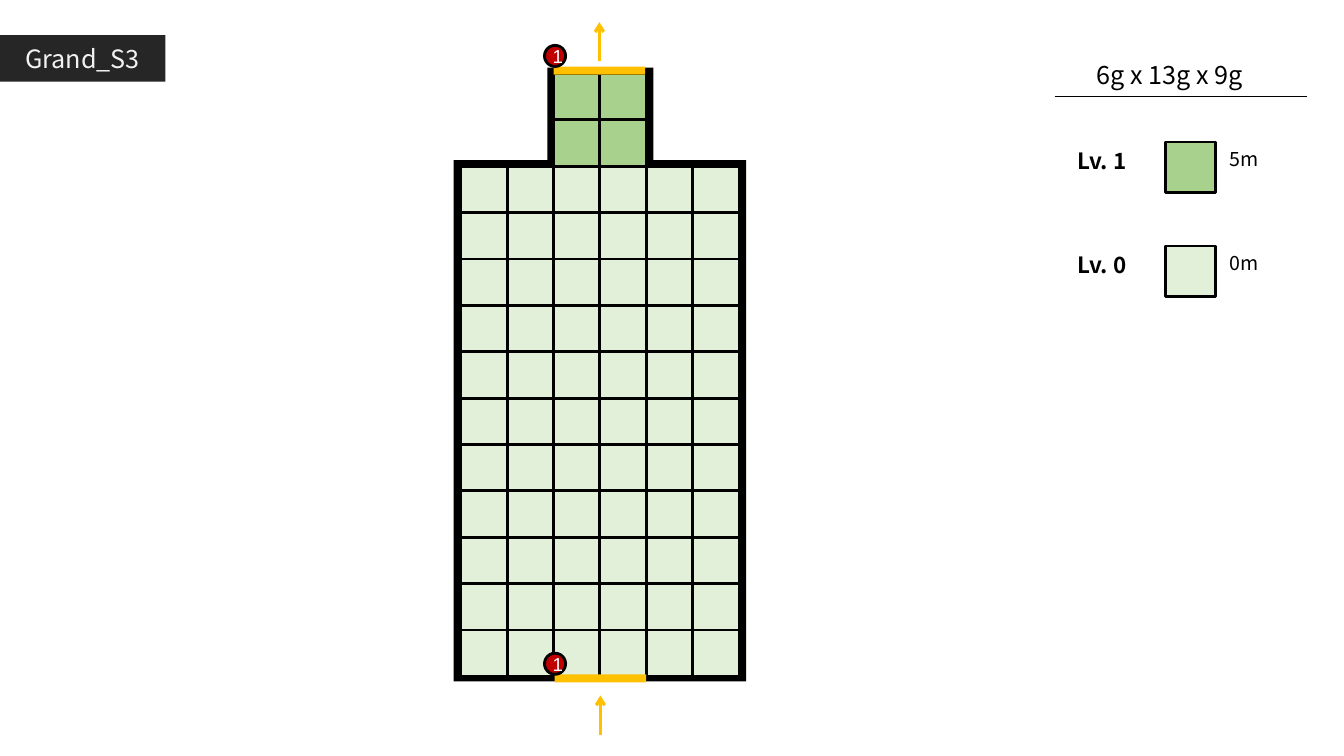
from dataclasses import dataclass

from lxml.etree import SubElement
from pptx import Presentation
from pptx.dml.color import RGBColor
from pptx.enum.shapes import MSO_CONNECTOR as Connector, MSO_SHAPE as Shape
from pptx.enum.text import MSO_ANCHOR as Anchor, PP_ALIGN as Align
from pptx.oxml.ns import qn
from pptx.util import Inches, Pt


@dataclass(frozen=True)
class Theme:
    """Colours, fonts, type sizes and line widths of the map."""
    black: str = "000000"
    white: str = "FFFFFF"
    tag: str = "262626"
    tag_text: str = "F2F2F2"
    level_0: str = "E2F0D9"
    level_1: str = "A9D18E"
    gate: str = "FFC000"
    marker: str = "C00000"
    font: str = "Noto Sans CJK KR"
    marker_font: str = "Arial"
    title_size: float = 18
    level_size: float = 16
    height_size: float = 14
    marker_size: float = 13.4
    rule_width: float = 1
    outline_width: float = 2
    arrow_width: float = 2.25


THEME = Theme()
CELL = 0.46
ROOM_LEFT, ROOM_TOP = 4.57, 1.65


def write(holder, text, size, color=THEME.black, font=THEME.font,
          bold=False, align=Align.LEFT, anchor=Anchor.TOP):
    """Write one formatted line of text into a shape or text box."""
    frame = holder.text_frame
    frame.word_wrap = True
    frame.vertical_anchor = anchor
    para = frame.paragraphs[0]
    para.alignment = align
    span = para.add_run()
    span.text = text
    span.font.size = Pt(size)
    span.font.name = font
    span.font.bold = bold
    span.font.color.rgb = RGBColor.from_string(color)


def add_label(page, left, top, width, height, text, size, **text_format):
    """Add a text box."""
    box = page.shapes.add_textbox(Inches(left), Inches(top), Inches(width), Inches(height))
    write(box, text, size, **text_format)


def add_block(page, left, top, width, height, fill, outlined=False, kind=Shape.RECTANGLE):
    """Add a filled shape, with a black outline if wanted."""
    block = page.shapes.add_shape(kind, Inches(left), Inches(top), Inches(width), Inches(height))
    block.shadow.inherit = False
    block.fill.solid()
    block.fill.fore_color.rgb = RGBColor.from_string(fill)
    if outlined:
        block.line.color.rgb = RGBColor.from_string(THEME.black)
        block.line.width = Pt(THEME.outline_width)
    else:
        block.line.fill.background()
    return block


def add_line(page, start, end, color, width, arrow=False):
    """Add a straight line, with an arrowhead at its end if wanted."""
    line = page.shapes.add_connector(Connector.STRAIGHT, *map(Inches, start + end))
    line.line.color.rgb = RGBColor.from_string(color)
    line.line.width = Pt(width)
    properties = line._element.spPr
    if arrow:
        SubElement(properties.find(qn("a:ln")), qn("a:tailEnd"), type="arrow")
    SubElement(properties, qn("a:effectLst"))


def add_cells(page, first_column, first_row, columns, rows, fill):
    """Add a grid of cells counted from the corner of the room."""
    for row in range(first_row, first_row + rows):
        for column in range(first_column, first_column + columns):
            add_block(page, ROOM_LEFT + column * CELL, ROOM_TOP + row * CELL,
                      CELL, CELL, fill, outlined=True)


def add_gate(page, left, top, marker_top, arrow_top):
    """Add a gate bar with its numbered marker and upward arrow."""
    width = 0.91
    add_block(page, left, top, width, 0.08, THEME.gate)
    marker = add_block(page, 5.4, marker_top, 0.21, 0.21, THEME.marker,
                       outlined=True, kind=Shape.OVAL)
    write(marker, "1", THEME.marker_size, color=THEME.white, font=THEME.marker_font,
          align=Align.CENTER, anchor=Anchor.MIDDLE)
    middle = left + width / 2
    add_line(page, (middle, arrow_top + 0.39), (middle, arrow_top),
             THEME.gate, THEME.arrow_width, arrow=True)


def add_legend_row(page, top, level, height, fill):
    """Add a level name, its colour swatch and its height."""
    add_label(page, 10.59, top, 1.07, 0.36, level, THEME.level_size, bold=True)
    add_block(page, 11.56, top, 0.5, 0.5, fill, outlined=True)
    add_label(page, 12.1, top, 0.71, 0.33, height, THEME.height_size)


def main():
    """Build the map slide and save it."""
    deck = Presentation()
    deck.slide_width, deck.slide_height = Inches(13.33), Inches(7.5)
    page = deck.slides.add_slide(deck.slide_layouts[6])

    tag = add_block(page, 0, 0.35, 1.64, 0.46, THEME.tag)
    write(tag, "Grand_S3", THEME.title_size, color=THEME.tag_text,
          align=Align.CENTER, anchor=Anchor.MIDDLE)

    add_label(page, 10.5, 0.54, 2.2, 0.4, "6g x 13g x 9g", THEME.title_size, align=Align.CENTER)
    add_line(page, (10.46, 0.96), (12.96, 0.96), THEME.black, THEME.rule_width)
    add_legend_row(page, 1.41, "Lv. 1", "5m", THEME.level_1)
    add_legend_row(page, 2.44, "Lv. 0", "0m", THEME.level_0)

    add_block(page, 5.43, 0.67, 1.05, 1, THEME.black)
    add_block(page, 4.5, 1.59, 2.9, 5.17, THEME.black)
    add_cells(page, 0, 0, 6, 11, THEME.level_0)
    add_cells(page, 2, -2, 2, 2, THEME.level_1)
    add_gate(page, 5.49, 0.66, 0.45, 0.22)
    add_gate(page, 5.5, 6.69, 6.48, 6.9)

    deck.save("out.pptx")


main()
